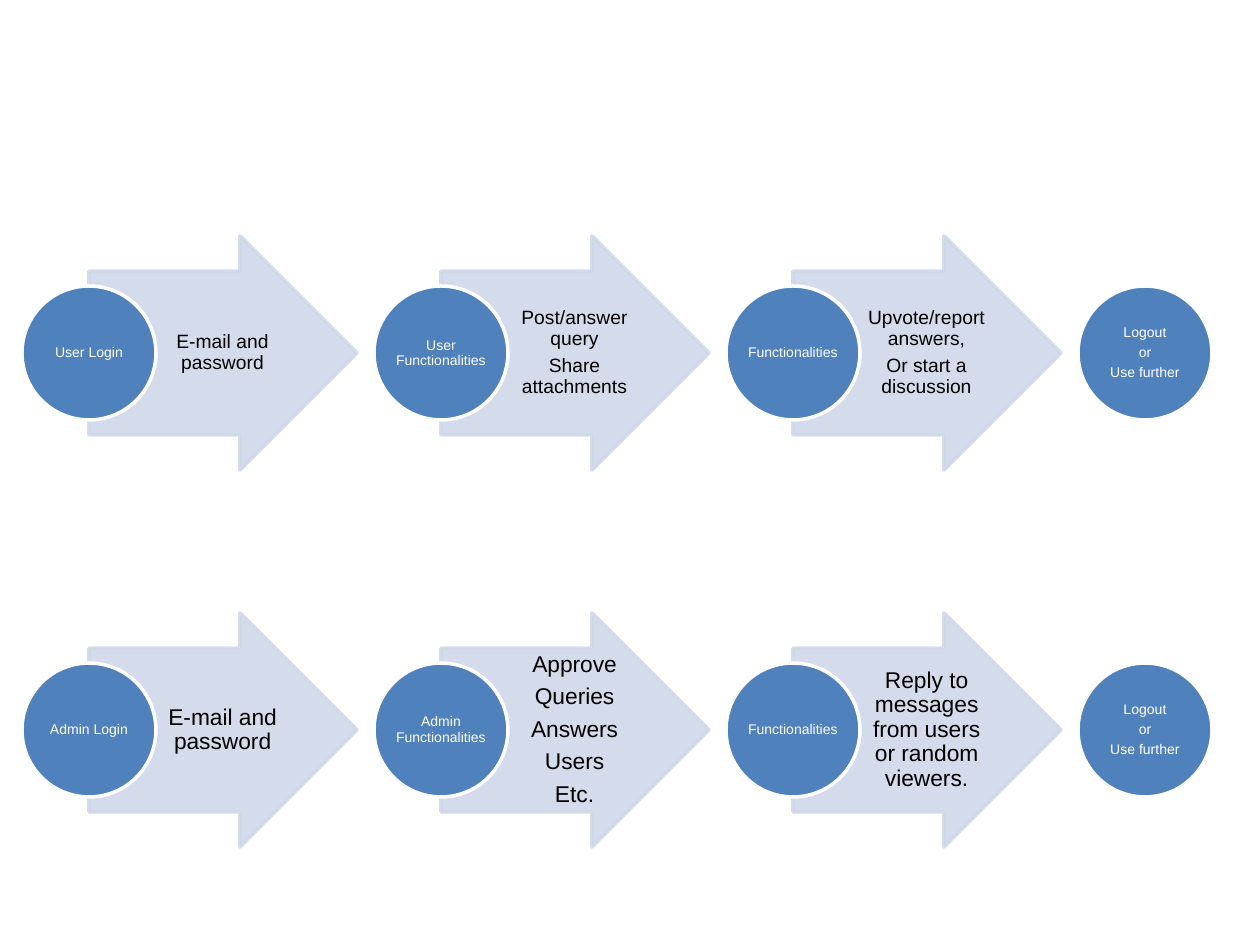
from dataclasses import dataclass

from lxml import etree
from pptx import Presentation
from pptx.dml.color import RGBColor
from pptx.enum.shapes import MSO_SHAPE
from pptx.enum.text import MSO_ANCHOR, PP_ALIGN
from pptx.oxml.ns import qn
from pptx.shapes.autoshape import Shape
from pptx.shapes.group import GroupShape
from pptx.util import Emu, Pt

ARROW, CIRCLE = MSO_SHAPE.RIGHT_ARROW, MSO_SHAPE.OVAL
CENTER, MIDDLE = PP_ALIGN.CENTER, MSO_ANCHOR.MIDDLE
BLANK_LAYOUT = 6
EMU_PER_PX = 914400 / 126

# Grid, in px
SLIDE_W, SLIDE_H = 1260, 945
FIRST_CENTER_X, STEP_PITCH = 89, 352
ARROW_W, ARROW_H = 268, 234
CIRCLE_SIZE, LABEL_SIZE = 134, 94
DETAIL_OFFSET, DETAIL_W, DETAIL_H = 67, 131, 164


@dataclass(frozen=True)
class Theme:
    font: str = "Arial"
    circle: RGBColor = RGBColor(0x4F, 0x81, 0xBD)
    arrow: RGBColor = RGBColor(0xD0, 0xD8, 0xE8)
    light: RGBColor = RGBColor(0xFF, 0xFF, 0xFF)
    dark: RGBColor = RGBColor(0, 0, 0)
    label_pt: int = 8
    line_pt: int = 2
    line_spacing: float = 0.9
    space_after: float = 0.35  # share of the type size
    arrow_alpha: int = 90000


@dataclass(frozen=True)
class Step:
    label: str
    detail: str = ""


@dataclass(frozen=True)
class Flow:
    center_y: int
    detail_pt: int
    steps: tuple[Step, ...]


THEME = Theme()
LAST_STEP = Step("Logout\nor\nUse further")
FLOWS = (
    Flow(353, 11, (
        Step("User Login", "E-mail and password"),
        Step("User Functionalities", "Post/answer query\nShare attachments"),
        Step("Functionalities", "Upvote/report answers,\nOr start a discussion"),
        LAST_STEP,
    )),
    Flow(730, 13, (
        Step("Admin Login", "E-mail and password"),
        Step("Admin Functionalities", "Approve\nQueries\nAnswers\nUsers\nEtc."),
        Step("Functionalities", "Reply to messages from users or random viewers."),
        LAST_STEP,
    )),
)


def px(value: int) -> Emu:
    return Emu(round(value * EMU_PER_PX))


def add_figure(group: GroupShape, kind: MSO_SHAPE, left: int, center_y: int,
               width: int, height: int, fill: RGBColor, line: RGBColor) -> Shape:
    figure = group.shapes.add_shape(
        kind, px(left), px(center_y - height // 2), px(width), px(height))
    figure.shadow.inherit = False
    figure.fill.solid()
    figure.fill.fore_color.rgb = fill
    figure.line.color.rgb = line
    figure.line.width = Pt(THEME.line_pt)
    return figure


def add_text(group: GroupShape, text: str, left: int, center_y: int, width: int,
             height: int, size: int, color: RGBColor,
             margins: tuple[int, int] = (1, 1)) -> None:
    box = group.shapes.add_textbox(
        px(left), px(center_y - height // 2), px(width), px(height))
    frame = box.text_frame
    frame.word_wrap = True
    frame.vertical_anchor = MIDDLE
    frame.margin_left, frame.margin_right = map(px, margins)
    frame.margin_top = frame.margin_bottom = px(1)
    frame.text = text
    for paragraph in frame.paragraphs:
        paragraph.alignment = CENTER
        paragraph.line_spacing = THEME.line_spacing
        paragraph.space_after = Pt(THEME.space_after * size)
        for run in paragraph.runs:
            run.font.name = THEME.font
            run.font.size = Pt(size)
            run.font.color.rgb = color


def add_arrow(group: GroupShape, left: int, center_y: int) -> None:
    arrow = add_figure(group, ARROW, left, center_y, ARROW_W, ARROW_H,
                       THEME.arrow, THEME.arrow)
    arrow.adjustments[0], arrow.adjustments[1] = 0.7, 0.5
    # Fill and line are slightly transparent
    for color in arrow.element.spPr.iter(qn("a:srgbClr")):
        etree.SubElement(color, qn("a:alpha"), val=str(THEME.arrow_alpha))


def add_step(group: GroupShape, step: Step, center_x: int, flow: Flow) -> None:
    # Arrow with its detail, behind the circle
    if step.detail:
        add_arrow(group, center_x, flow.center_y)
        add_text(group, step.detail, center_x + DETAIL_OFFSET, flow.center_y,
                 DETAIL_W, DETAIL_H, flow.detail_pt, THEME.dark, (4, 2))
    # Circle with its label
    add_figure(group, CIRCLE, center_x - CIRCLE_SIZE // 2, flow.center_y,
               CIRCLE_SIZE, CIRCLE_SIZE, THEME.circle, THEME.light)
    add_text(group, step.label, center_x - LABEL_SIZE // 2, flow.center_y,
             LABEL_SIZE, LABEL_SIZE, THEME.label_pt, THEME.light)


def main() -> None:
    deck = Presentation()
    deck.slide_width, deck.slide_height = px(SLIDE_W), px(SLIDE_H)
    slide = deck.slides.add_slide(deck.slide_layouts[BLANK_LAYOUT])

    # One group per flow: user above, admin below
    for flow in FLOWS:
        group = slide.shapes.add_group_shape()
        for index, step in enumerate(flow.steps):
            add_step(group, step, FIRST_CENTER_X + index * STEP_PITCH, flow)

    deck.save("out.pptx")


if __name__ == "__main__":
    main()
